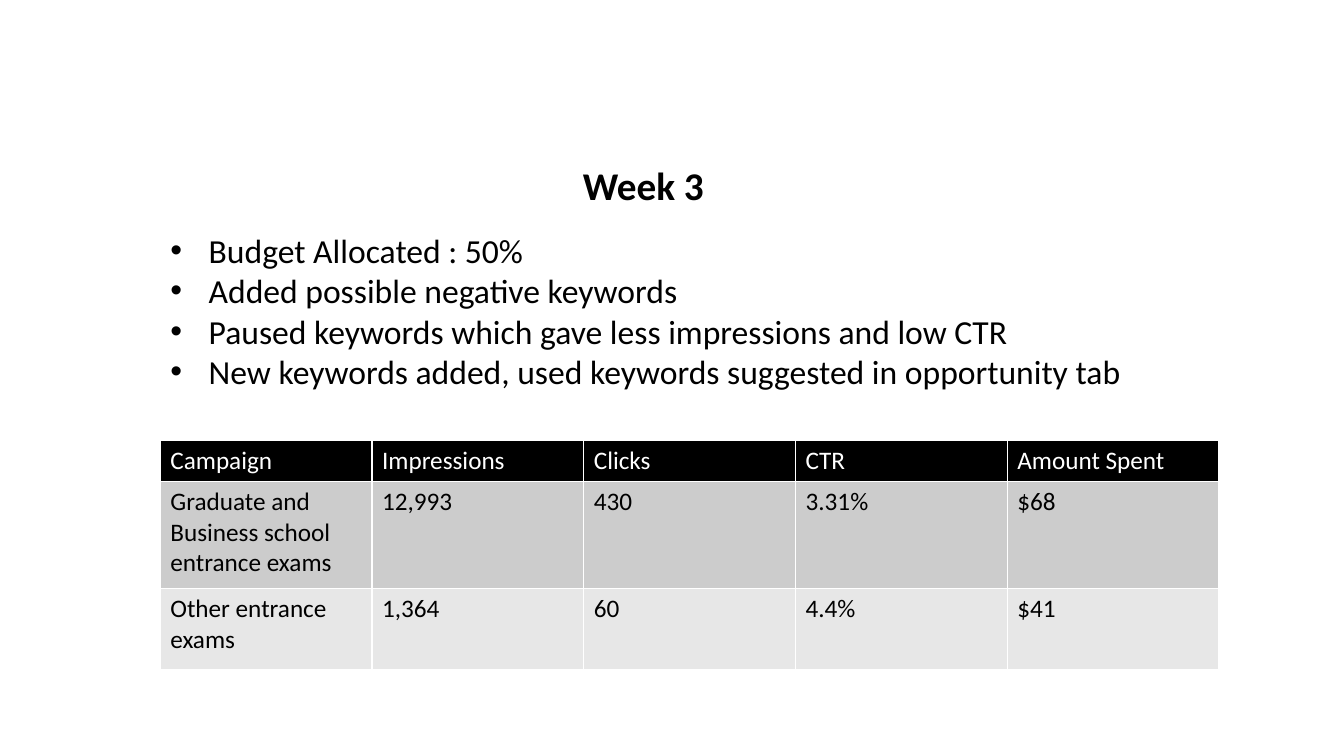
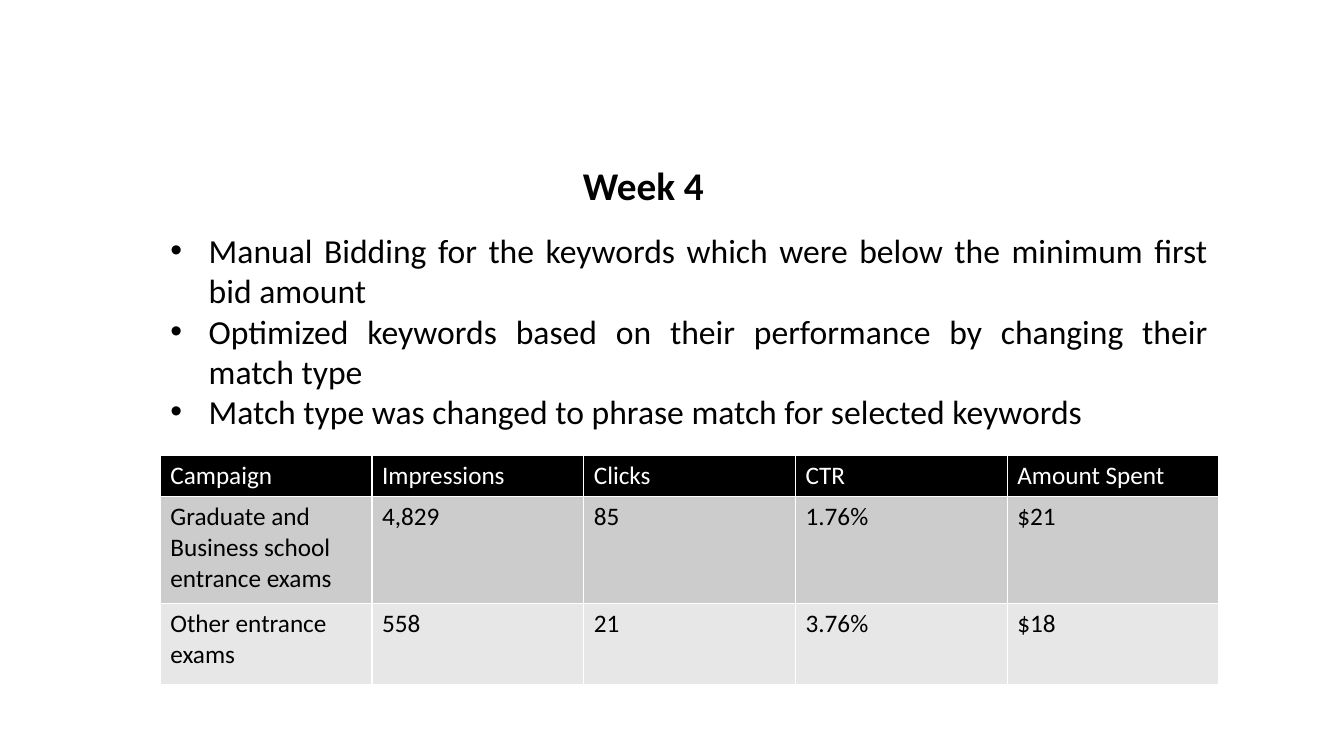
"""Build two weekly campaign report slides, each with a list and a results table."""
from lxml import etree
from pptx import Presentation
from pptx.dml.color import RGBColor
from pptx.enum import text
from pptx.oxml import ns
from pptx.util import Inches, Pt

FONT = "Calibri"
BLACK, WHITE = "000000", "FFFFFF"
ROW_FILLS = [BLACK, "CCCCCC", "E7E7E7"]
ROW_HEIGHTS = [0.4, 1.06, 0.81]
COLUMN_WIDTH = 2.1
HEADERS = ["Campaign", "Impressions", "Clicks", "CTR", "Amount Spent"]
CAMPAIGNS = ["Graduate and\nBusiness school\nentrance exams", "Other entrance\nexams"]

WEEKS = [
    {
        "title": "Week 3",
        "bullets": [
            "Budget Allocated : 50%",
            "Added possible negative keywords",
            "Paused keywords which gave less impressions and low CTR",
            "New keywords added, used keywords suggested in opportunity tab",
        ],
        "body_height": 2.96,
        "table_top": 4.37,
        "results": [["12,993", "430", "3.31%", "$68"], ["1,364", "60", "4.4%", "$41"]],
    },
    {
        "title": "Week 4",
        "bullets": [
            "Manual Bidding for the keywords which were below the minimum first bid amount",
            "Optimized keywords based on their performance by changing their match type",
            "Match type was changed to phrase match for selected keywords",
        ],
        "body_height": 3.37,
        "table_top": 4.52,
        "results": [["4,829", "85", "1.76%", "$21"], ["558", "21", "3.76%", "$18"]],
    },
]


def rgb(color):
    return RGBColor.from_string(color)


def place(sp, left, top, width, height):
    sp.left, sp.top = Inches(left), Inches(top)
    sp.width, sp.height = Inches(width), Inches(height)


def style_text(tf, size, color=BLACK, bold=False, align=text.PP_ALIGN.LEFT):
    for p in tf.paragraphs:
        p.alignment = align
        p.space_before = Pt(0)
        for r in p.runs:
            r.font.name, r.font.size, r.font.bold = FONT, Pt(size), bold
            r.font.color.rgb = rgb(color)


def fill_placeholder(sp, content, box, size, **style):
    place(sp, *box)
    tf = sp.text_frame
    tf.text = content
    tf.word_wrap = True
    tf.auto_size = text.MSO_AUTO_SIZE.NONE
    tf.vertical_anchor = text.MSO_ANCHOR.TOP
    style_text(tf, size, **style)
    return tf


def add_bullets(tf):
    for p in tf.paragraphs:
        pPr = p._p.get_or_add_pPr()
        pPr.set("marL", str(Inches(0.39)))
        pPr.set("indent", str(Inches(-0.38)))
        etree.SubElement(pPr, ns.qn("a:buFont"), typeface="Arial")
        etree.SubElement(pPr, ns.qn("a:buChar"), char="•")


def add_borders(cell, color=WHITE, width=1):
    tcPr = cell._tc.get_or_add_tcPr()
    for side in "LRTB":
        ln = etree.SubElement(tcPr, ns.qn(f"a:ln{side}"), w=str(Pt(width)))
        fill = etree.SubElement(ln, ns.qn("a:solidFill"))
        etree.SubElement(fill, ns.qn("a:srgbClr"), val=color)


def add_results(s, top, results):
    rows = [HEADERS] + [[name, *values] for name, values in zip(CAMPAIGNS, results)]
    table = s.shapes.add_table(
        len(rows), len(HEADERS), Inches(1.59), Inches(top),
        Inches(COLUMN_WIDTH * len(HEADERS)), Inches(sum(ROW_HEIGHTS))).table
    for column in table.columns:
        column.width = Inches(COLUMN_WIDTH)
    for i, (values, fill, height) in enumerate(zip(rows, ROW_FILLS, ROW_HEIGHTS)):
        table.rows[i].height = Inches(height)
        for cell, value in zip(table.rows[i].cells, values):
            cell.text_frame.text = value
            style_text(cell.text_frame, 18, WHITE if i == 0 else BLACK)
            add_borders(cell)
            cell.fill.solid()
            cell.fill.fore_color.rgb = rgb(fill)


def add_week(prs, week):
    s = prs.slides.add_slide(prs.slide_layouts[1])
    body = fill_placeholder(
        s.placeholders[1], "\n".join(week["bullets"]),
        (1.58, 2.23, 10.5, week["body_height"]), 24, align=text.PP_ALIGN.JUSTIFY)
    add_bullets(body)
    fill_placeholder(s.shapes.title, week["title"], (5.68, 1.55, 2.23, 0.57), 28, bold=True)
    add_results(s, week["table_top"], week["results"])


def main():
    prs = Presentation()
    prs.slide_width, prs.slide_height = Inches(13.33), Inches(7.5)
    for week in WEEKS:
        add_week(prs, week)
    prs.save("out.pptx")


if __name__ == "__main__":
    main()
